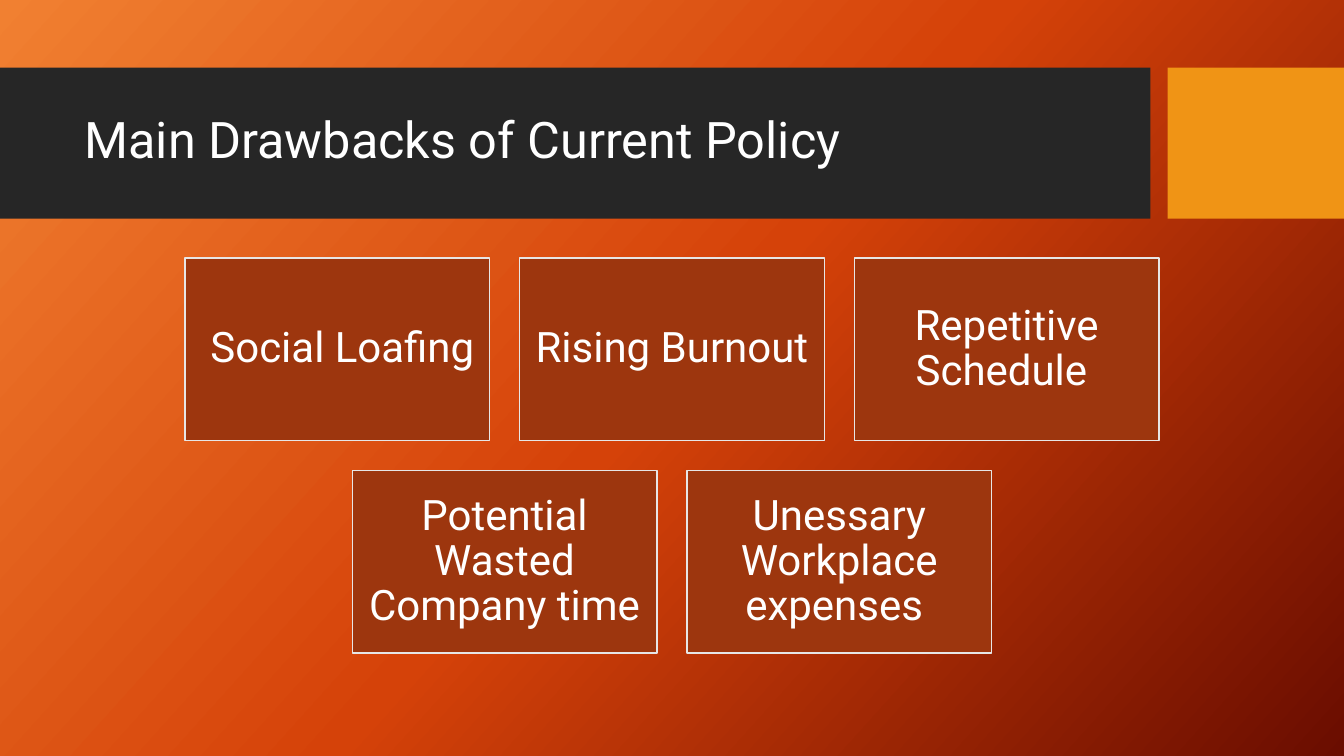
from copy import deepcopy
from pptx import Presentation
from pptx.dml.color import RGBColor
from pptx.enum.shapes import MSO_SHAPE as Shape
from pptx.enum.text import MSO_ANCHOR as Anchor, PP_ALIGN as Align
from pptx.util import Inches, Pt

WIDE, HIGH = 13.33, 7.5
BOX_W, BOX_H, GAP = 3.02, 1.81, 0.3
TOP = 2.56
ROWS = [
    [" Social Loafing", "Rising Burnout", "Repetitive Schedule "],
    ["Potential Wasted Company time ", "Unessary Workplace expenses "],
]


def block(x, y, w, h, color):
    """Add a plain filled rectangle without outline or shadow."""
    rect = slide.shapes.add_shape(
        Shape.RECTANGLE, Inches(x), Inches(y), Inches(w), Inches(h))
    rect.shadow.inherit = False
    rect.fill.solid()
    rect.fill.fore_color.rgb = RGBColor.from_string(color)
    rect.line.fill.background()
    return rect


def write(shape, text, size, align):
    """Set one white paragraph, centred vertically in the shape."""
    frame = shape.text_frame
    frame.word_wrap = True
    frame.vertical_anchor = Anchor.MIDDLE
    para = frame.paragraphs[0]
    para.text = text
    para.alignment = align
    para.line_spacing = 0.9
    para.font.name = "Roboto"
    para.font.size = Pt(size)
    para.font.color.rgb = RGBColor.from_string("FFFFFF")
    return frame


prs = Presentation()
prs.slide_width, prs.slide_height = Inches(WIDE), Inches(HIGH)
slide = prs.slides.add_slide(prs.slide_layouts[6])

# Background gradient with a third, middle stop
fill = slide.background.fill
fill.gradient()
fill.gradient_angle = 360 - 42
stops = slide.element.xpath(".//a:gsLst")[0]
stops.insert(1, deepcopy(stops[0]))
colors = ["F18031", "D54209", "6A0D00"]
for i, (stop, color) in enumerate(zip(fill.gradient_stops, colors)):
    stop.position = i / 2
    stop.color.rgb = RGBColor.from_string(color)

# Title band
block(0, 0.67, 11.41, 1.5, "262626")
block(11.58, 0.67, 1.75, 1.5, "F09415")
title = slide.shapes.add_textbox(
    Inches(0.74), Inches(0.82), Inches(10.51), Inches(1.18))
write(title, "Main Drawbacks of Current Policy", 36, Align.LEFT)

# Drawback boxes, each row centred on the slide
for r, row in enumerate(ROWS):
    left = (WIDE - len(row) * BOX_W - (len(row) - 1) * GAP) / 2
    for c, text in enumerate(row):
        box = block(left + c * (BOX_W + GAP), TOP + r * (BOX_H + GAP),
                    BOX_W, BOX_H, "9D360E")
        box.line.color.rgb = RGBColor.from_string("E7E6E6")
        box.line.width = Pt(1)
        frame = write(box, text, 30, Align.CENTER)
        frame.margin_left = frame.margin_right = Inches(0.12)
        frame.margin_top = frame.margin_bottom = Inches(0.12)

prs.save("out.pptx")
